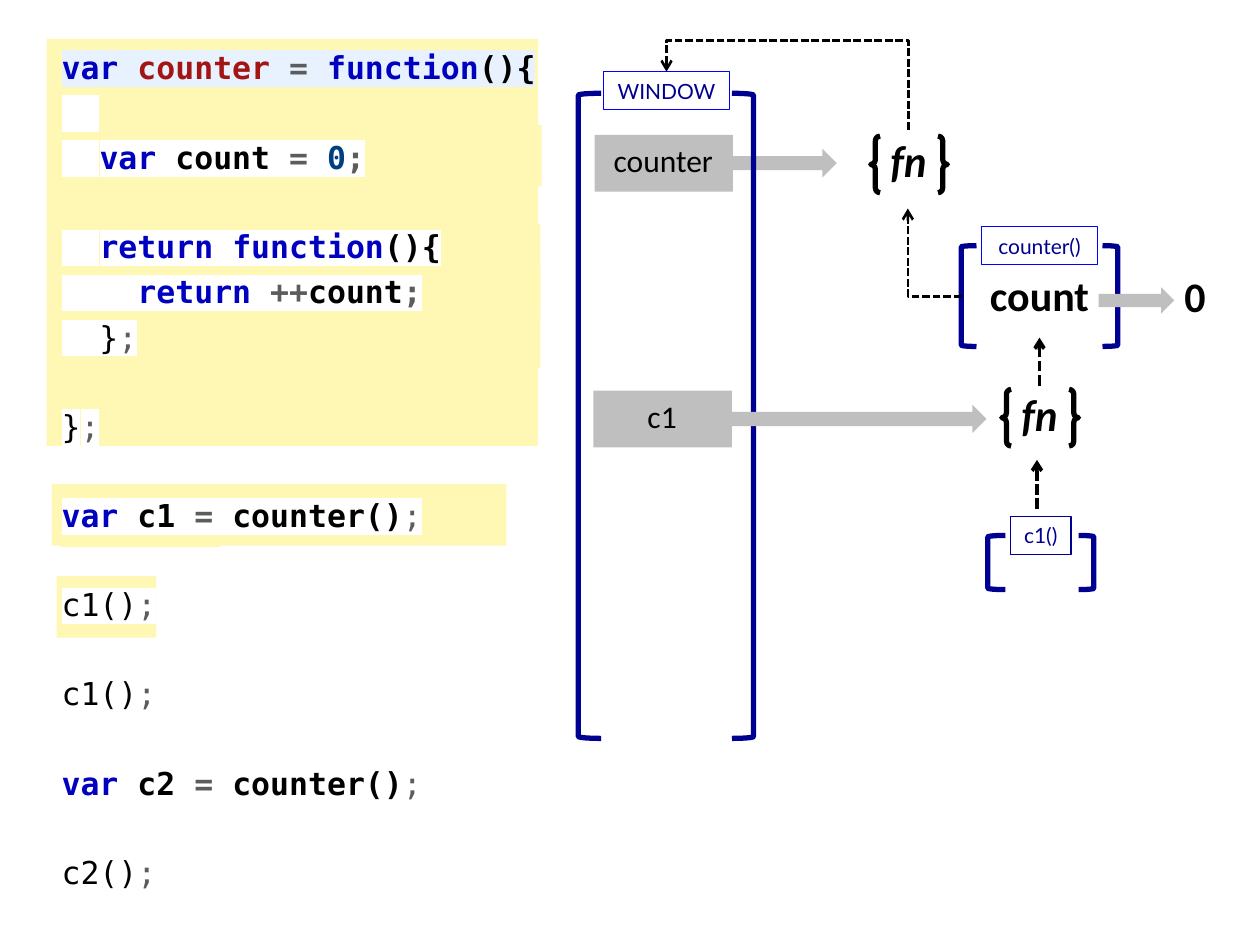
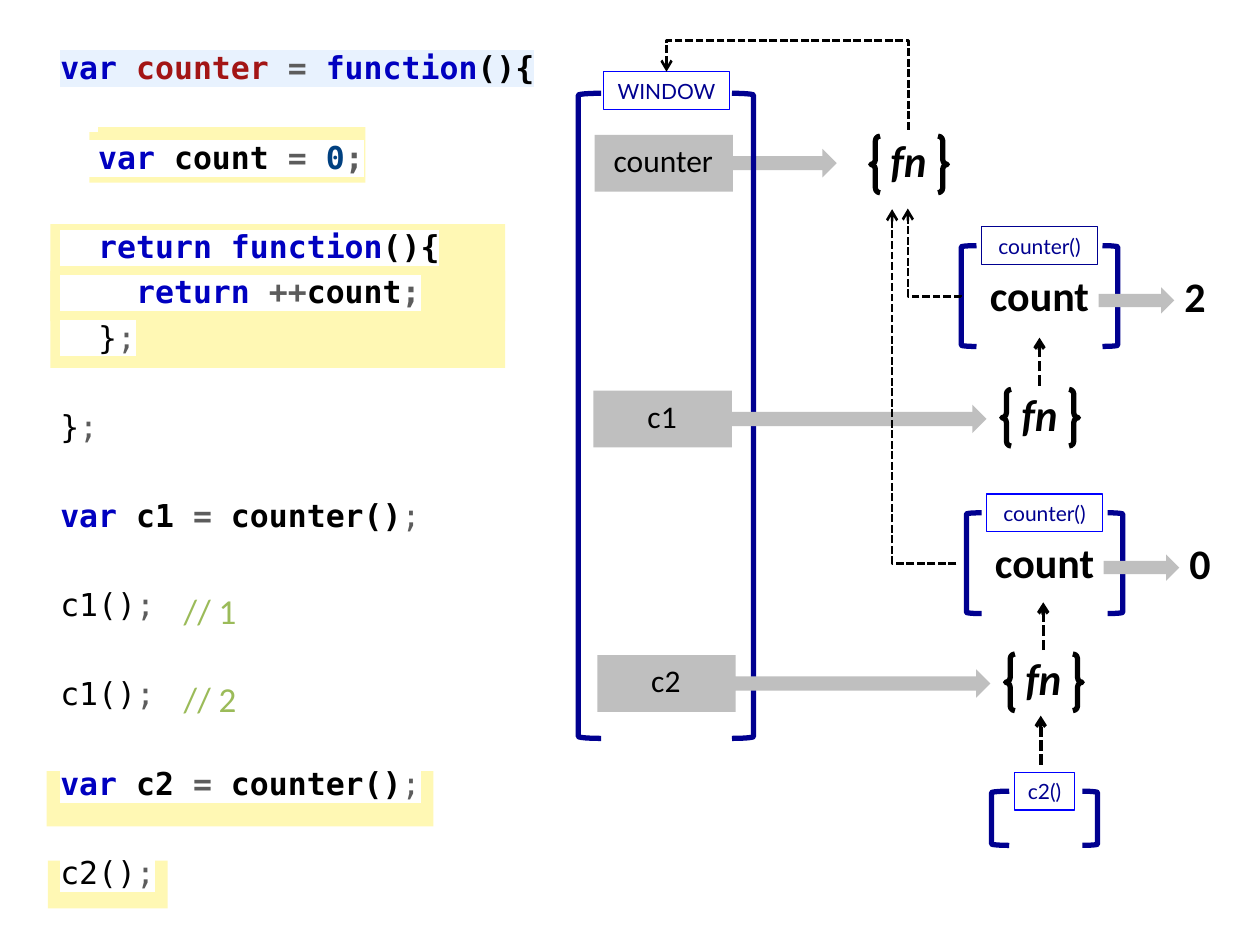
from lxml import etree
from pptx import Presentation
from pptx.dml.color import RGBColor
from pptx.enum import dml, shapes, text
from pptx.oxml.ns import qn
from pptx.util import Inches, Pt

BLACK = RGBColor(0x00, 0x00, 0x00)
NAVY = RGBColor(0x00, 0x00, 0x90)
BLUE = RGBColor(0x00, 0x00, 0xFF)
GRAY = RGBColor(0xBF, 0xBF, 0xBF)
YELLOW = RGBColor(0xFF, 0xF8, 0xB4)
GREEN = RGBColor(0x9B, 0xBB, 0x59)
KEYWORD = RGBColor(0x00, 0x00, 0xC0)
NAME = RGBColor(0xA3, 0x15, 0x15)
NUMBER = RGBColor(0x00, 0x40, 0x80)
PUNCTUATION = RGBColor(0x5C, 0x5C, 0x5C)
PALE_BLUE = RGBColor(0xE8, 0xF2, 0xFE)
WHITE = RGBColor(0xFF, 0xFF, 0xFF)

CODE_FONT, LABEL_FONT, BODY_FONT = "DejaVu Sans Mono", "Lato", "Calibri"
LINE_GAP = Pt(4.2)      # 20% of a code line
SKIPPED_LINE = Pt(29.4)  # the gap plus one empty line

KIND = shapes.MSO_SHAPE

# Code lines: (follows an empty line, [(text, colour, bold), ...])
SEMICOLON = (";", PUNCTUATION, False)
BOLD_SEMICOLON = (";", PUNCTUATION, True)
EQUALS = ("= ", PUNCTUATION, True)
VAR = ("var ", KEYWORD, True)


def assignment(name):
    return True, [VAR, (name + " ", BLACK, True), EQUALS,
                  ("counter()", BLACK, True), SEMICOLON]


def call(name):
    return True, [(name + "()", BLACK, False), SEMICOLON]


CODE = [
    (False, [VAR, ("counter ", NAME, True), EQUALS,
             ("function", KEYWORD, True), ("(){", BLACK, True)]),
    (False, [("  ", BLACK, False)]),
    (False, [("  ", BLACK, True), VAR, ("count ", BLACK, True), EQUALS,
             ("0", NUMBER, True), BOLD_SEMICOLON]),
    (True, [("  ", BLACK, False), ("return function", KEYWORD, True),
            ("(){", BLACK, True)]),
    (False, [("    ", BLACK, False), ("return ", KEYWORD, True),
             ("++", PUNCTUATION, True), ("count", BLACK, True),
             BOLD_SEMICOLON]),
    (False, [("  ", BLACK, False), ("}", BLACK, False), SEMICOLON]),
    (True, [("}", BLACK, False), SEMICOLON]),
    assignment("c1"), call("c1"), call("c1"), assignment("c2"), call("c2"),
]


def add_shape(slide, kind, box, fill=None, line=None, width=3):
    shape = slide.shapes.add_shape(kind, *map(Inches, box))
    shape.shadow.inherit = False
    if fill is None:
        shape.fill.background()
    else:
        shape.fill.solid()
        shape.fill.fore_color.rgb = fill
    if line is None:
        shape.line.fill.background()
    else:
        shape.line.color.rgb = line
        shape.line.width = Pt(width)
    return shape


def write(shape, words, size, font, color, bold=False, italic=False,
          align=text.PP_ALIGN.CENTER, wrap=True):
    frame = shape.text_frame
    frame.word_wrap = wrap
    paragraph = frame.paragraphs[0]
    paragraph.text = words
    paragraph.alignment = align
    paragraph.font.size = Pt(size)
    paragraph.font.name = font
    paragraph.font.color.rgb = color
    paragraph.font.bold = bold
    paragraph.font.italic = italic


def add_text(slide, box, words, size, font=BODY_FONT, color=BLACK, **style):
    write(slide.shapes.add_textbox(*map(Inches, box)),
          words, size, font, color, **style)


def add_highlights(slide, boxes):
    for box in boxes:
        add_shape(slide, KIND.RECTANGLE, box, fill=YELLOW)


def add_code(slide, left):
    box = slide.shapes.add_textbox(
        Inches(left), Inches(0.33), Inches(4.02), Inches(6.37))
    frame = box.text_frame
    frame.word_wrap = True
    for index, (after_empty, pieces) in enumerate(CODE):
        paragraph = frame.add_paragraph() if index else frame.paragraphs[0]
        paragraph.space_before = SKIPPED_LINE if after_empty else LINE_GAP
        paragraph.font.size = Pt(18)
        paragraph.font.name = CODE_FONT
        for words, color, bold in pieces:
            run = paragraph.add_run()
            run.text = words
            run.font.bold = bold
            run.font.color.rgb = color
            # Text highlight follows the colour in the run properties
            properties = run._r.get_or_add_rPr()
            highlight = etree.SubElement(properties, qn("a:highlight"))
            etree.SubElement(highlight, qn("a:srgbClr"),
                             val=str(WHITE if index else PALE_BLUE))


def add_dashed_arrow(slide, kind, start, end, width):
    connector = slide.shapes.add_connector(
        kind, *map(Inches, (*start, *end)))
    connector.line.color.rgb = BLACK
    connector.line.width = Pt(width)
    connector.line.dash_style = dml.MSO_LINE.SQUARE_DOT
    properties = connector._element.spPr
    etree.SubElement(properties.find(qn("a:ln")), qn("a:tailEnd"), type="arrow")
    etree.SubElement(properties, qn("a:effectLst"))
    return properties


def add_up_arrow(slide, x, bottom, top):
    add_dashed_arrow(slide, shapes.MSO_CONNECTOR.STRAIGHT,
                     (x, bottom), (x, top), 2)


def add_bent_arrow(slide, box, rotation, flip=False, bend=None):
    """Elbow given by its unrotated box; without a bend it has one corner."""
    left, top, width, height = box
    properties = add_dashed_arrow(
        slide, shapes.MSO_CONNECTOR.ELBOW, (left, top),
        (left + width, top + height), 1.5)
    transform = properties.find(qn("a:xfrm"))
    transform.set("rot", str(rotation * 60000))
    if flip:
        transform.set("flipV", "1")
    geometry = properties.find(qn("a:prstGeom"))
    if bend is None:
        geometry.set("prst", "bentConnector2")
    else:
        etree.SubElement(geometry.find(qn("a:avLst")), qn("a:gd"),
                         name="adj1", fmla=f"val {round(bend * 100000)}")


def add_scope(slide, x, y, height, span, arms, label, label_box, border=BLUE):
    """Pair of brackets with a name tag across the top."""
    left_arm, right_arm = arms
    add_shape(slide, KIND.LEFT_BRACKET, (x, y, left_arm, height), line=NAVY)
    add_shape(slide, KIND.RIGHT_BRACKET, (x + span, y, right_arm, height),
              line=NAVY)
    offset, rise, width = label_box
    tag = add_shape(slide, KIND.RECTANGLE, (x + offset, y - rise, width, 0.3),
                    line=border, width=0.75)
    write(tag, label, 12, LABEL_FONT, NAVY, wrap=False)


def add_counter_scope(slide, x, y, value, border=BLUE):
    add_scope(slide, x, y, 0.8, 1.12, (0.12, 0.12), "counter()",
              (0.16, 0.15, 0.92), border)
    add_text(slide, (x, y + 0.14, 1.24, 0.5), "count", 24, bold=True)
    add_text(slide, (x + 1.59, y + 0.15, 0.53, 0.5), value, 24, bold=True)
    add_shape(slide, KIND.RIGHT_ARROW, (x + 1.09, y + 0.33, 0.6, 0.21),
              fill=GRAY)


def add_call_scope(slide, x, y, label, border=BLUE):
    add_scope(slide, x, y, 0.43, 0.72, (0.14, 0.12), label,
              (0.18, 0.15, 0.48), border)
    add_up_arrow(slide, x + 0.39, y - 0.21, y - 0.6)


def add_variable(slide, x, y, width, body, name):
    """Gray name box whose arrow points at the value."""
    callout = add_shape(slide, KIND.RIGHT_ARROW_CALLOUT, (x, y, width, 0.45),
                        fill=GRAY)
    for index, value in enumerate((0.25, 0.25, 0.25, body)):
        callout.adjustments[index] = value
    add_text(slide, (x + 0.03, y, 1.03, 0.4), name, 18)


def add_function(slide, x, y):
    add_shape(slide, KIND.DOUBLE_BRACE, (x, y, 0.61, 0.45), line=BLACK)
    add_text(slide, (x + 0.04, y - 0.05, 0.52, 0.5), "fn", 24, LABEL_FONT,
             bold=True, italic=True)


def add_closure(slide, variable_x, y, name):
    """Variable, its function and the arrow up to the enclosing scope."""
    add_variable(slide, variable_x, y, 3.12, 0.352, name)
    add_function(slide, variable_x + 3.24, y - 0.01)
    add_up_arrow(slide, variable_x + 3.54, y - 0.04, y - 0.42)


def add_common_diagram(slide, code_left, count, border):
    """Code, window scope, counter and c1, alike on both slides."""
    add_variable(slide, 4.72, 1.07, 1.92, 0.571, "counter")
    add_code(slide, code_left)
    add_scope(slide, 4.59, 0.74, 5.12, 1.22, (0.18, 0.17), "WINDOW",
              (0.2, 0.17, 1))
    add_function(slide, 6.91, 1.08)
    add_bent_arrow(slide, (6.02, -0.16, 0.46, 1.92), 270, True, 1.544)
    add_counter_scope(slide, 7.63, 1.95, count, border)
    add_bent_arrow(slide, (7.07, 1.79, 0.69, 0.42), 270, True, -0.009)
    add_closure(slide, 4.71, 3.1, "c1")


def build_first_call(slide):
    add_highlights(slide, [
        (0.39, 2.13, 3.9, 0.39), (0.45, 4.57, 0.79, 0.49),
        (0.48, 3.85, 1.27, 0.49), (0.39, 1.78, 3.9, 1.14),
        (0.4, 0.99, 3.9, 0.49), (0.41, 3.84, 3.61, 0.49),
        (0.37, 0.31, 3.9, 3.23)])
    add_common_diagram(slide, 0.39, "0", BLUE)
    add_call_scope(slide, 7.84, 4.25, "c1()", NAVY)


def build_second_counter(slide):
    add_highlights(slide, [
        (0.4, 2.15, 3.61, 0.4), (0.38, 6.83, 0.95, 0.38),
        (0.4, 1.78, 3.61, 1.14), (0.71, 1.01, 2.19, 0.44),
        (0.37, 6.12, 3.07, 0.44)])
    add_common_diagram(slide, 0.38, "2", NAVY)
    # Second counter with its own scope
    add_closure(slide, 4.74, 5.2, "c2")
    add_counter_scope(slide, 7.67, 4.07, "0")
    add_call_scope(slide, 7.87, 6.28, "c2()")
    add_bent_arrow(slide, (7.08, 1.66, 0.51, 2.81), 180)
    # Results of the two c1 calls
    for result, y in (("// 1", 4.63), ("// 2", 5.33)):
        add_text(slide, (1.36, y, 0.62, 0.44), result, 20, color=GREEN,
                 align=text.PP_ALIGN.LEFT, wrap=False)


def main():
    presentation = Presentation()
    presentation.slide_width = Inches(10)
    presentation.slide_height = Inches(7.5)
    blank = presentation.slide_layouts[6]
    for build in (build_first_call, build_second_counter):
        build(presentation.slides.add_slide(blank))
    presentation.save("out.pptx")


main()
